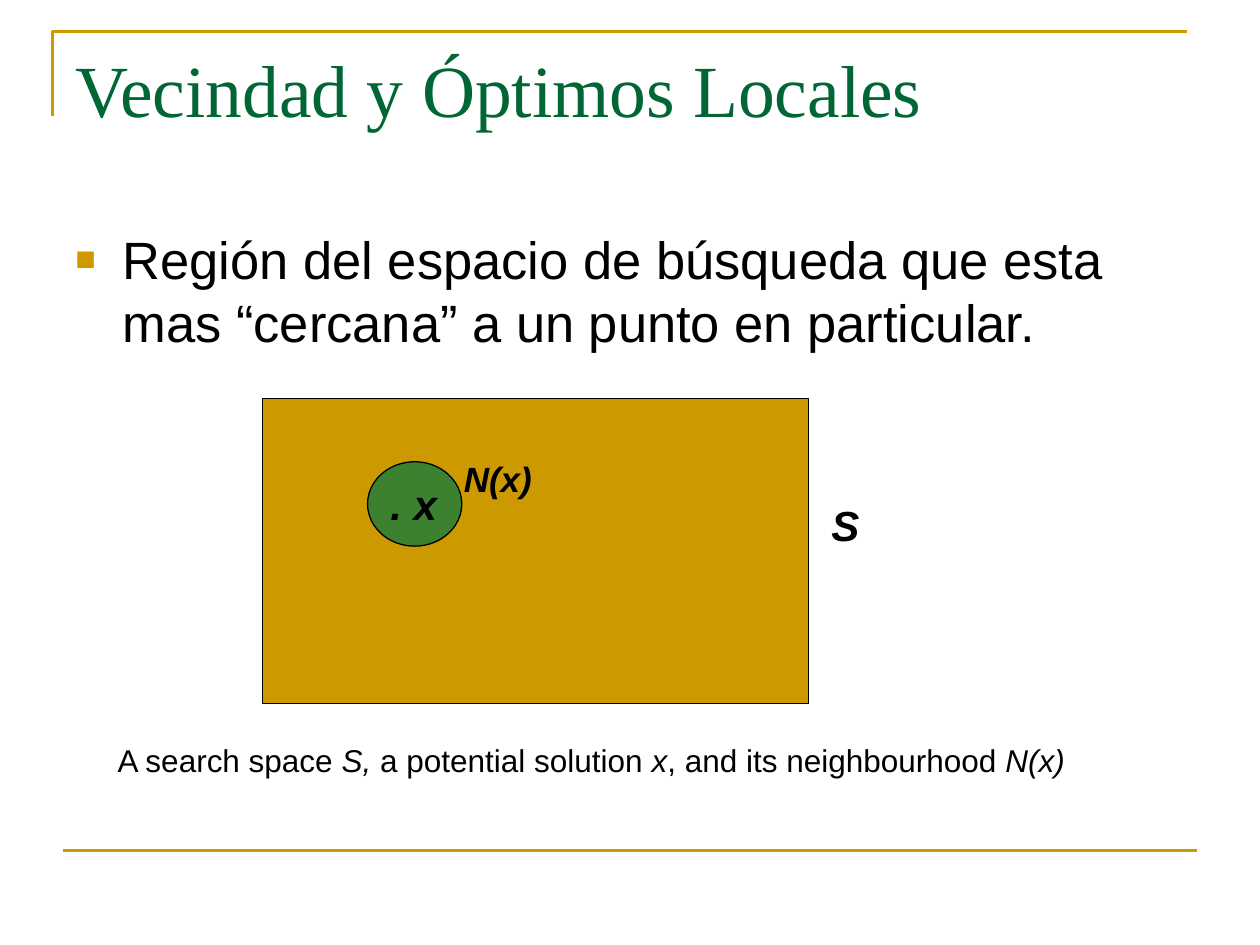
from lxml import etree
from pptx import Presentation
from pptx.dml.color import RGBColor
from pptx.enum.shapes import MSO_CONNECTOR, MSO_SHAPE
from pptx.enum.text import MSO_ANCHOR, MSO_AUTO_SIZE
from pptx.oxml.ns import qn
from pptx.util import Cm, Pt

RECTANGLE, OVAL = MSO_SHAPE.RECTANGLE, MSO_SHAPE.OVAL
STRAIGHT = MSO_CONNECTOR.STRAIGHT
TOP = MSO_ANCHOR.TOP
GROW = MSO_AUTO_SIZE.SHAPE_TO_FIT_TEXT
NO_AUTOFIT = MSO_AUTO_SIZE.NONE

COLOURS = {"gold": "CC9900", "title": "006633", "green": "3B812F", "black": "000000"}


def colour(name):
    return RGBColor.from_string(COLOURS[name])


class SlideBuilder:
    """Holds the fonts, rule width and current slide."""

    body_font = "Arial"
    title_font = "Times New Roman"
    rule_width = Pt(1.5)
    outline_width = Pt(0.75)

    def __init__(self, slide):
        self.slide = slide

    def style_line(self, line, name, width):
        line.color.rgb = colour(name)
        line.width = width

    def corner_rule(self, left, top, right, bottom):
        builder = self.slide.shapes.build_freeform(Cm(left), Cm(bottom))
        builder.add_line_segments(
            [(Cm(left), Cm(top)), (Cm(right), Cm(top))], close=False)
        shape = builder.convert_to_shape()
        shape.shadow.inherit = False
        shape.fill.background()
        self.style_line(shape.line, "gold", self.rule_width)

    def rule(self, left, right, y):
        connector = self.slide.shapes.add_connector(
            STRAIGHT, Cm(left), Cm(y), Cm(right), Cm(y))
        self.style_line(connector.line, "gold", self.rule_width)
        etree.SubElement(connector._element.spPr, qn("a:effectLst"))

    def region(self, kind, left, top, width, height, fill):
        shape = self.slide.shapes.add_shape(
            kind, Cm(left), Cm(top), Cm(width), Cm(height))
        shape.shadow.inherit = False
        shape.fill.solid()
        shape.fill.fore_color.rgb = colour(fill)
        self.style_line(shape.line, "black", self.outline_width)

    def text(self, left, top, width, height, text, size, font=None,
             name="black", auto_size=GROW, bullet=False):
        """Add a one-paragraph text box and return its paragraph."""
        box = self.slide.shapes.add_textbox(
            Cm(left), Cm(top), Cm(width), Cm(height))
        frame = box.text_frame
        frame.word_wrap = True
        frame.auto_size = auto_size
        frame.vertical_anchor = TOP
        frame.text = text
        paragraph = frame.paragraphs[0]
        if bullet:
            self.add_bullet(paragraph)
        paragraph.font.size = Pt(size)
        paragraph.font.name = font or self.body_font
        paragraph.font.color.rgb = colour(name)
        return paragraph

    def add_bullet(self, paragraph):
        properties = paragraph._p.get_or_add_pPr()
        properties.set("marL", str(Cm(0.95)))
        properties.set("indent", str(-Cm(0.95)))
        bullet_colour = etree.SubElement(properties, qn("a:buClr"))
        etree.SubElement(bullet_colour, qn("a:srgbClr"), val=COLOURS["gold"])
        etree.SubElement(properties, qn("a:buSzPct"), val="65000")
        etree.SubElement(properties, qn("a:buFont"), typeface=self.body_font)
        etree.SubElement(properties, qn("a:buChar"), char="■")

    def label(self, left, top, width, height, text, size):
        """Add a bold italic symbol."""
        paragraph = self.text(left, top, width, height, text, size)
        run = paragraph.runs[0]
        run.font.bold = True
        run.font.italic = True

    def caption(self, left, top, width, height, pieces, size):
        """Add a line whose pieces alternate between upright and italic."""
        paragraph = self.text(left, top, width, height, "", size)
        for index, piece in enumerate(pieces):
            run = paragraph.add_run()
            run.text = piece
            run.font.size = Pt(size)
            run.font.name = self.body_font
            run.font.color.rgb = colour("black")
            run.font.italic = index % 2 == 1


def main():
    presentation = Presentation()
    presentation.slide_width = Cm(25.4)
    presentation.slide_height = Cm(19.05)
    slide = presentation.slides.add_slide(presentation.slide_layouts[6])
    builder = SlideBuilder(slide)

    builder.corner_rule(1.06, 0.64, 23.92, 2.33)
    builder.rule(1.27, 24.13, 17.15)
    builder.text(1.27, 0.76, 22.86, 3.18, "Vecindad y Óptimos Locales", 42,
                 builder.title_font, "title", NO_AUTOFIT)
    builder.text(1.27, 4.45, 22.86, 12.57,
                 "Región del espacio de búsqueda que esta mas “cercana” "
                 "a un punto en particular.",
                 30, auto_size=NO_AUTOFIT, bullet=True)

    builder.region(RECTANGLE, 5.29, 8.04, 11.01, 6.14, "gold")
    builder.region(OVAL, 7.41, 9.31, 1.9, 1.7, "green")
    builder.label(16.51, 9.95, 1.48, 1.27, "S", 24)
    builder.label(7.62, 9.53, 1.48, 1.27, ". x", 24)
    builder.label(9.1, 9.1, 1.9, 1.11, "N(x)", 20)
    builder.caption(2.12, 14.82, 20.53, 1.02,
                    ["A search space ", "S, ", "a potential solution ", "x",
                     ", and its neighbourhood ", "N(x)"], 18)

    presentation.save("out.pptx")


if __name__ == "__main__":
    main()
